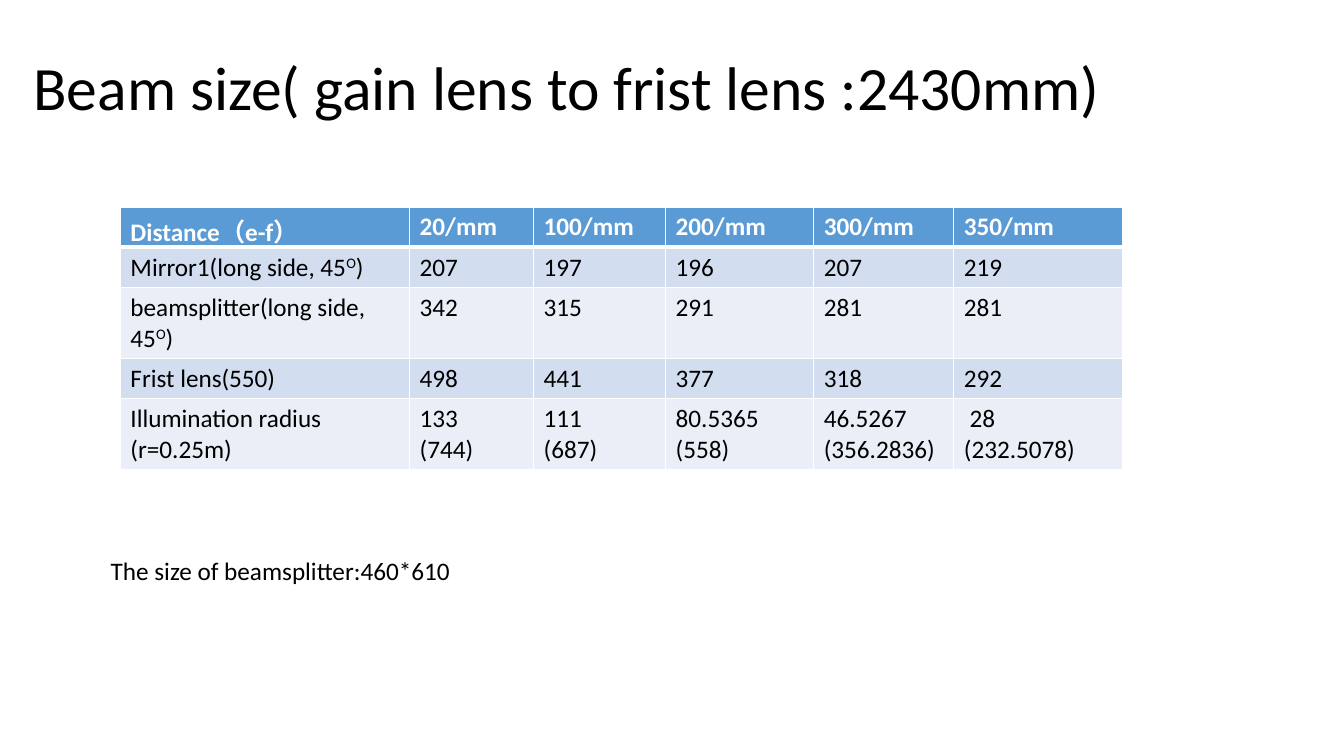
from lxml.etree import SubElement
from pptx import Presentation
from pptx.dml.color import RGBColor
from pptx.enum.text import MSO_ANCHOR
from pptx.oxml.ns import qn
from pptx.util import Pt

FONT = "Calibri"
BLACK, WHITE = "000000", "FFFFFF"
HEADER_FILL = "5B9BD5"
BAND_FILLS = ["D2DEEF", "EAEFF7"]
COLUMN_WIDTHS = [206.6, 88.6, 94.3, 105.8, 100.1, 120.2]
ROW_HEIGHTS = [28, 28, 28, 28, 49]
BEAM_SIZES = [
    ["Distance（e-f）", "20/mm", "100/mm", "200/mm", "300/mm", "350/mm"],
    ["Mirror1(long side, 45^O^)", "207", "197", "196", "207", "219"],
    ["beamsplitter(long side, 45^O^)", "342", "315", "291", "281", "281"],
    ["Frist lens(550)", "498", "441", "377", "318", "292"],
    ["Illumination radius (r=0.25m)", "133\n(744)", "111\n(687)",
     "80.5365\n(558)", "46.5267\n(356.2836)", " 28\n(232.5078)"],
]


def color(value):
    return RGBColor.from_string(value)


def write(frame, text, size, ink, bold=False):
    for index, line in enumerate(text.split("\n")):
        para = frame.add_paragraph() if index else frame.paragraphs[0]
        for position, piece in enumerate(line.split("^")):
            span = para.add_run()
            span.text = piece
            span.font.name = FONT
            span.font.size = Pt(size)
            span.font.bold = bold
            span.font.color.rgb = color(ink)
            if position % 2:
                span._r.get_or_add_rPr().set("baseline", "30000")


def add_text(page, left, top, width, height, text, size, anchor=MSO_ANCHOR.TOP):
    box = page.shapes.add_textbox(Pt(left), Pt(top), Pt(width), Pt(height))
    frame = box.text_frame
    frame.word_wrap = True
    frame.vertical_anchor = anchor
    write(frame, text, size, BLACK)
    return frame


def add_title(page, left, top, width, height):
    frame = add_text(page, left, top, width, height,
                     "Beam size( gain lens to frist lens :2430mm)", 44, MSO_ANCHOR.MIDDLE)
    frame.paragraphs[0].line_spacing = 0.9


def add_borders(cell, row):
    properties = cell._tc.get_or_add_tcPr()
    widths = {"a:lnL": 1, "a:lnR": 1,
              "a:lnT": 3 if row == 1 else 1, "a:lnB": 3 if row == 0 else 1}
    for tag, width in widths.items():
        line = SubElement(properties, qn(tag), w=str(Pt(width)))
        SubElement(SubElement(line, qn("a:solidFill")), qn("a:srgbClr"), val=WHITE)


def add_beam_table(page, left, top):
    table = page.shapes.add_table(
        len(ROW_HEIGHTS), len(COLUMN_WIDTHS), Pt(left), Pt(top),
        Pt(sum(COLUMN_WIDTHS)), Pt(sum(ROW_HEIGHTS))).table
    for column, width in zip(table.columns, COLUMN_WIDTHS):
        column.width = Pt(width)
    for row, height in zip(table.rows, ROW_HEIGHTS):
        row.height = Pt(height)
    for row, values in enumerate(BEAM_SIZES):
        header = row == 0
        for column, value in enumerate(values):
            cell = table.cell(row, column)
            add_borders(cell, row)
            cell.fill.solid()
            cell.fill.fore_color.rgb = color(HEADER_FILL if header else BAND_FILLS[(row - 1) % 2])
            write(cell.text_frame, value, 18, WHITE if header else BLACK, header)


def main():
    deck = Presentation()
    deck.slide_width, deck.slide_height = Pt(960), Pt(540)
    page = deck.slides.add_slide(deck.slide_layouts[6])
    add_title(page, 16.8, 12.2, 906.5, 104.4)
    add_beam_table(page, 86, 147.8)
    add_text(page, 72, 393.2, 568.8, 29, "The size of beamsplitter:460*610", 18)
    deck.save("out.pptx")


if __name__ == "__main__":
    main()
